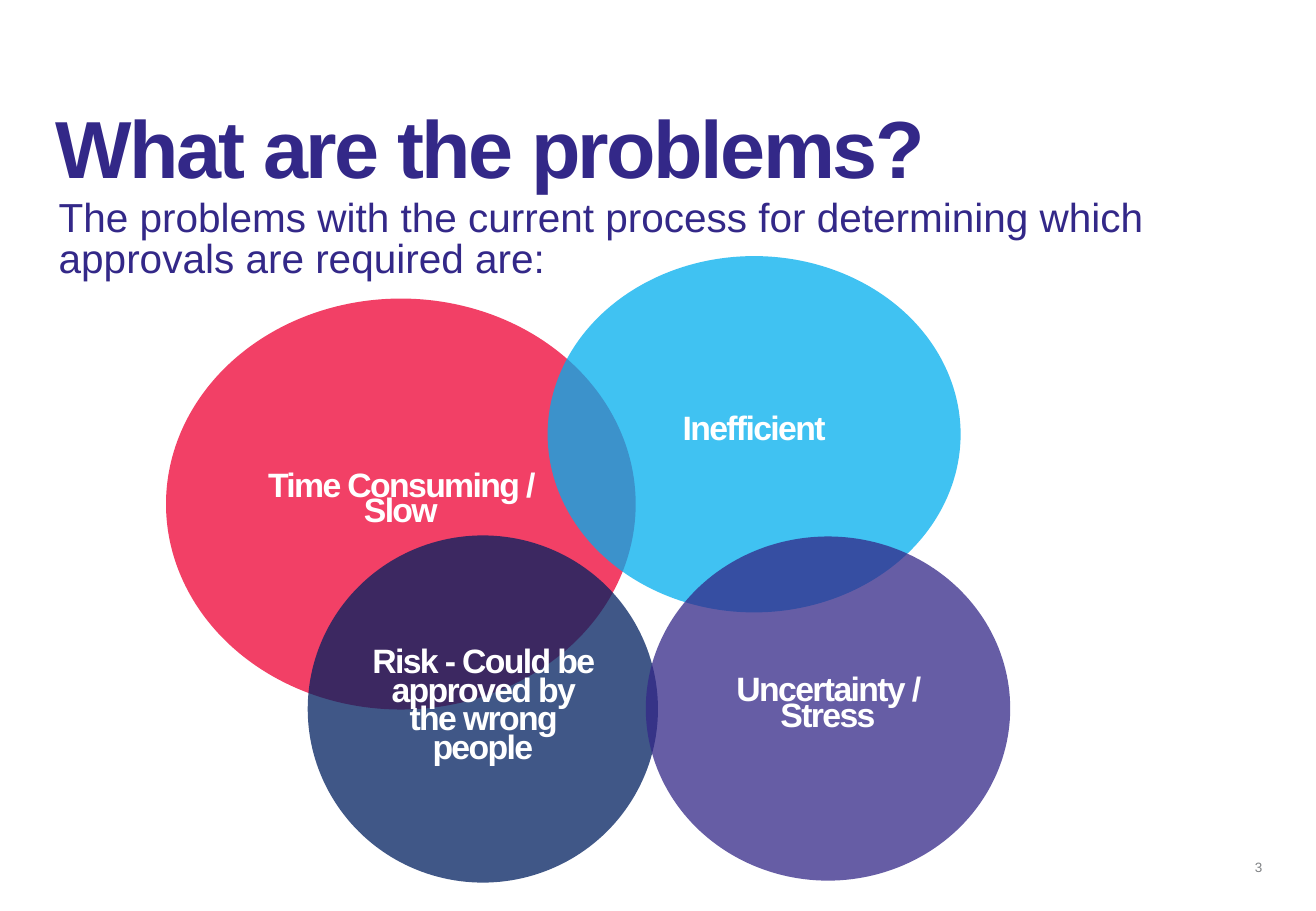
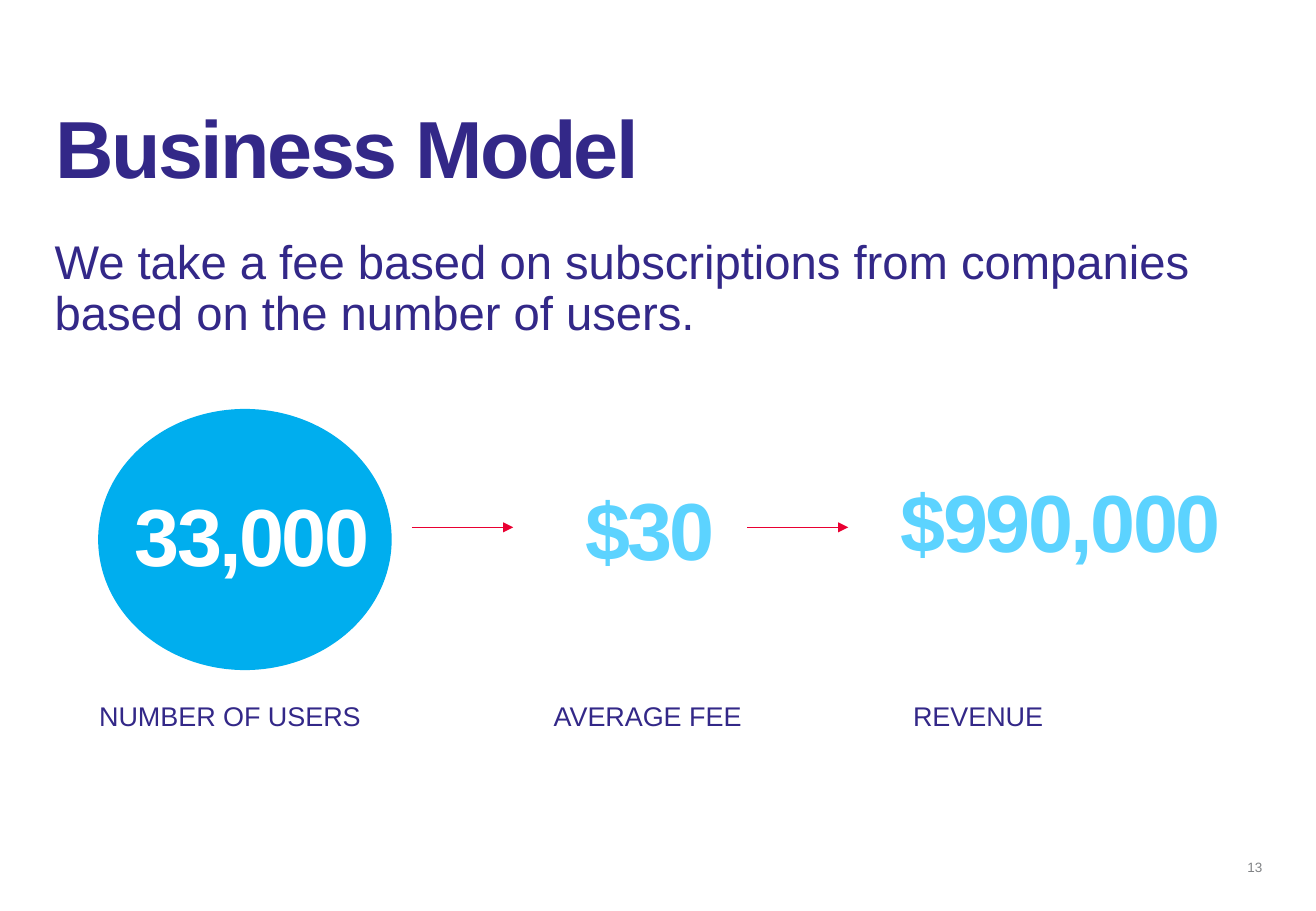
"""Builds two pitch slides: the problems and the business model."""
from lxml import etree
from pptx import Presentation
from pptx import util as u
from pptx.dml.color import RGBColor
from pptx.enum import shapes, text
from pptx.oxml.ns import qn

SCALE = 7620
FONT = "Arial"
INDIGO, SKY, PALE_SKY = "332888", "00AEEE", "5CD3FF"
RED, NAVY, ARROW_RED = "EE0033", "002060", "E90032"
WHITE, GREY = "FFFFFF", "808285"
LEFT, CENTER, RIGHT = text.PP_ALIGN.LEFT, text.PP_ALIGN.CENTER, text.PP_ALIGN.RIGHT
TOP, MIDDLE = text.MSO_ANCHOR.TOP, text.MSO_ANCHOR.MIDDLE


def px(length):
    """Turn pixels into EMU."""
    return u.Emu(length * SCALE)


def color(value):
    """Turn a hex string into a colour."""
    return RGBColor.from_string(value)


def place(shape, box):
    """Move a shape to a box of left, top, width and height."""
    shape.left, shape.top, shape.width, shape.height = map(px, box)


def write(shape, words, size, ink, bold=False, align=LEFT, anchor=TOP,
          leading=None, spacing=0, before=0, after=0, insets=(0, 0)):
    """Write one formatted paragraph into a shape."""
    frame = shape.text_frame
    frame.text = words
    frame.word_wrap = True
    frame.auto_size = text.MSO_AUTO_SIZE.NONE
    frame.vertical_anchor = anchor
    frame.margin_left = frame.margin_right = px(insets[0])
    frame.margin_top = frame.margin_bottom = px(insets[1])
    para = frame.paragraphs[0]
    para.alignment = align
    para.space_before, para.space_after = u.Pt(before), u.Pt(after)
    if leading:
        para.line_spacing = u.Pt(leading)
    for span in para.runs:
        span.font.name, span.font.size, span.font.bold = FONT, u.Pt(size), bold
        span.font.color.rgb = color(ink)
        if spacing:
            span.font._element.set("spc", str(spacing))


def add_text(page, box, words, size, ink, **style):
    """Add a text box."""
    shape = page.shapes.add_textbox(*map(px, box))
    write(shape, words, size, ink, **style)


def add_page(deck, title, number):
    """Add a page with its title and page number."""
    page = deck.slides.add_slide(deck.slide_layouts[1])
    place(page.shapes.title, (55, 107, 1190, 91))
    write(page.shapes.title, title, 48, INDIGO, bold=True, anchor=MIDDLE,
          leading=48, spacing=-150)
    add_text(page, (1211, 844, 48, 26), number, 8, GREY, align=RIGHT,
             anchor=MIDDLE, insets=(12, 6))
    return page


def fill_body(page, box, words, size, leading, before=0):
    """Place the introduction in the body placeholder, without a bullet."""
    body = page.placeholders[1]
    place(body, box)
    write(body, words, size, INDIGO, leading=leading, before=before, after=6)
    properties = body.text_frame.paragraphs[0]._p.get_or_add_pPr()
    properties.set("marL", "0")
    properties.set("indent", "0")
    etree.SubElement(properties, qn("a:buNone"))


def add_ellipse(page, box, fill, opacity=100):
    """Add a borderless ellipse, optionally see-through."""
    ellipse = page.shapes.add_shape(shapes.MSO_SHAPE.OVAL, *map(px, box))
    ellipse.shadow.inherit = False
    ellipse.line.fill.background()
    ellipse.fill.solid()
    ellipse.fill.fore_color.rgb = color(fill)
    if opacity < 100:
        tone = ellipse._element.spPr.find(qn("a:solidFill"))[0]
        etree.SubElement(tone, qn("a:alpha"), val=str(opacity * 1000))
    return ellipse


def add_arrow(page, left, top, length):
    """Add a level arrow pointing right."""
    arrow = page.shapes.add_connector(
        shapes.MSO_CONNECTOR.STRAIGHT, px(left), px(top), px(left + length), px(top))
    arrow.line.color.rgb = color(ARROW_RED)
    arrow.line.width = u.Pt(0.75)
    etree.SubElement(arrow.line._get_or_add_ln(), qn("a:tailEnd"), type="triangle")
    etree.SubElement(arrow._element.spPr, qn("a:effectLst"))


def add_problems(page, box):
    """Draw the overlapping problem circles inside a box."""
    problems = [
        ("Time Consuming / Slow", (0, 42, 464, 406), RED, 15, 0),
        ("Inefficient", (377, 0, 408, 352), SKY, 15, 12),
        ("Risk - Could be approved by the wrong people", (140, 276, 346, 343), NAVY, 17, 12),
        ("Uncertainty / Stress", (474, 277, 360, 340), INDIGO, 15, 12),
    ]
    for words, (left, top, width, height), fill, leading, inset in problems:
        circle = add_ellipse(page, (box[0] + left, box[1] + top, width, height), fill, 75)
        write(circle, words, 20, WHITE, bold=True, align=CENTER, anchor=MIDDLE,
              leading=leading, spacing=-100, insets=(inset, 6))


def add_revenue_flow(page, box):
    """Draw users, fee and revenue as a flow inside a box."""
    left, top, width, height = box
    add_ellipse(page, (left, top, 290, 258), SKY)
    stages = [
        ("33,000", 36, 86, WHITE, "NUMBER OF USERS", 1),
        ("$30", 481, 80, PALE_SKY, "AVERAGE FEE", 450),
        ("$990,000", 793, 72, PALE_SKY, "REVENUE", 805),
    ]
    for amount, amount_left, amount_top, ink, caption, caption_left in stages:
        add_text(page, (left + amount_left, top + amount_top, 350, 91), amount, 48, ink,
                 bold=True, anchor=MIDDLE, leading=48, spacing=-150)
        add_text(page, (left + caption_left, top + height - 96, 300, 96), caption, 16,
                 INDIGO, leading=30, before=6, after=6)
    for arrow_left in (310, 641):
        add_arrow(page, left + arrow_left, top + 117, 100)


def main():
    """Build and save the deck."""
    deck = Presentation()
    deck.slide_width, deck.slide_height = px(1300), px(900)

    page = add_page(deck, "What are the problems?", "3")
    fill_body(page, (58, 198, 1162, 96),
              "The problems with the current process for determining which "
              "approvals are required are:", 24, 24)
    add_problems(page, (164, 253, 834, 619))

    page = add_page(deck, "Business Model", "13")
    fill_body(page, (54, 236, 1162, 96),
              "We take a fee based on subscriptions from companies "
              "based on the number of users.", 28, 30, before=6)
    add_revenue_flow(page, (97, 404, 1150, 365))

    deck.save("out.pptx")


if __name__ == "__main__":
    main()
